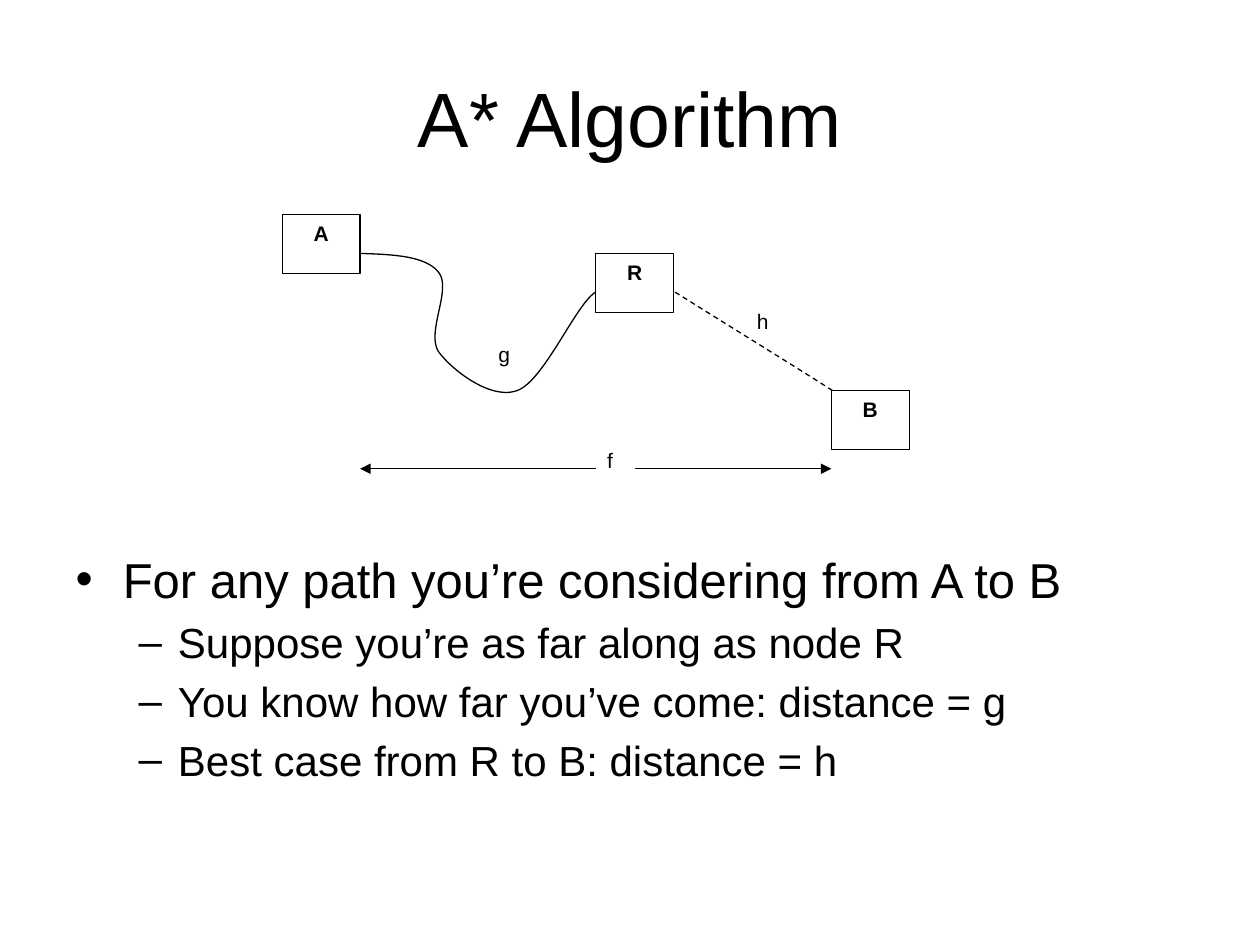
from lxml import etree
from pptx import Presentation
from pptx.dml.color import RGBColor
from pptx.enum import dml, shapes, text
from pptx.oxml.ns import qn
from pptx.util import Cm, Pt

BLACK = RGBColor(0, 0, 0)
WHITE = RGBColor(255, 255, 255)
FONT = "Arial"
NODE_W, NODE_H = 1.57, 1.19
CURVE_STEPS = 24

NODES = {"B": (16.76, 7.87), "A": (5.69, 4.32), "R": (12.01, 5.11)}
DISTANCES = {"g": (9.8, 6.76), "h": (15.01, 6.1), "f": (11.99, 8.89)}

# Each curve is a start point and its cubic segments: two controls and an end
TRAVELLED_START = (7.26, 5.11)
TRAVELLED = [
    ((7.92, 5.13), (8.59, 5.16), (8.84, 5.49)),
    ((9.12, 5.82), (8.59, 6.68), (8.84, 7.09)),
    ((9.12, 7.47), (9.91, 8.08), (10.44, 7.87)),
    ((10.97, 7.67), (11.63, 6.1), (12.01, 5.89)),
]
REMAINING_START = (13.61, 5.89)
REMAINING = [((15.19, 6.88), (16.81, 7.87), (17.48, 8.33))]

BULLETS = [
    (0, "For any path you’re considering from A to B"),
    (1, "Suppose you’re as far along as node R"),
    (1, "You know how far you’ve come: distance = g"),
    (1, "Best case from R to B: distance = h"),
]


def style_paragraph(paragraph, size, bold=False):
    for run in paragraph.runs:
        run.font.name = FONT
        run.font.size = Pt(size)
        run.font.bold = bold
        run.font.color.rgb = BLACK


def style_line(line):
    line.color.rgb = BLACK
    line.width = Pt(0.75)


def place(shape, left, top, width, height):
    shape.left, shape.top = Cm(left), Cm(top)
    shape.width, shape.height = Cm(width), Cm(height)


def fill_title(title):
    place(title, 1.27, 0.76, 22.86, 3.18)
    title.text_frame.text = "A* Algorithm"
    style_paragraph(title.text_frame.paragraphs[0], 44)


def fill_bullets(body):
    place(body, 1.27, 10.95, 22.86, 6.07)
    frame = body.text_frame
    for index, (level, wording) in enumerate(BULLETS):
        paragraph = frame.add_paragraph() if index else frame.paragraphs[0]
        paragraph.text = wording
        paragraph.level = level
        style_paragraph(paragraph, 24 if level else 28)


def bezier_point(corners, t):
    weights = ((1 - t) ** 3, 3 * t * (1 - t) ** 2, 3 * t**2 * (1 - t), t**3)
    return tuple(
        Cm(sum(w * corner[axis] for w, corner in zip(weights, corners)))
        for axis in (0, 1)
    )


def add_curve(diagram, start, segments, dashed=False):
    builder = diagram.build_freeform(Cm(start[0]), Cm(start[1]))
    for segment in segments:
        corners = (start, *segment)
        points = [
            bezier_point(corners, step / CURVE_STEPS)
            for step in range(1, CURVE_STEPS + 1)
        ]
        builder.add_line_segments(points, close=False)
        start = segment[-1]
    curve = builder.convert_to_shape()
    curve.shadow.inherit = False
    curve.fill.background()
    style_line(curve.line)
    if dashed:
        curve.line.dash_style = dml.MSO_LINE.DASH


def add_node(diagram, name, left, top):
    node = diagram.add_shape(
        shapes.MSO_SHAPE.RECTANGLE, Cm(left), Cm(top), Cm(NODE_W), Cm(NODE_H)
    )
    node.shadow.inherit = False
    node.fill.solid()
    node.fill.fore_color.rgb = WHITE
    style_line(node.line)
    node.text_frame.text = name
    node.text_frame.vertical_anchor = text.MSO_ANCHOR.TOP
    label = node.text_frame.paragraphs[0]
    label.alignment = text.PP_ALIGN.CENTER
    style_paragraph(label, 12, bold=True)


def add_distance(diagram, name, left, top):
    distance = diagram.add_textbox(Cm(left), Cm(top), Cm(2.39), Cm(NODE_H))
    distance.text_frame.word_wrap = True
    distance.text_frame.text = name
    style_paragraph(distance.text_frame.paragraphs[0], 12)


def add_arrow(diagram, start_x, end_x, y):
    arrow = diagram.add_connector(
        shapes.MSO_CONNECTOR.STRAIGHT, Cm(start_x), Cm(y), Cm(end_x), Cm(y)
    )
    style_line(arrow.line)
    properties = arrow.line._get_or_add_ln()
    etree.SubElement(properties, qn("a:tailEnd"), type="triangle")
    etree.SubElement(properties.getparent(), qn("a:effectLst"))


def main():
    prs = Presentation()
    prs.slide_width, prs.slide_height = Cm(25.4), Cm(19.05)
    slide = prs.slides.add_slide(prs.slide_layouts[1])

    # Title and explanation
    fill_title(slide.shapes.title)
    fill_bullets(slide.placeholders[1])

    # Path diagram
    diagram = slide.shapes.add_group_shape().shapes
    add_curve(diagram, TRAVELLED_START, TRAVELLED)
    add_curve(diagram, REMAINING_START, REMAINING, dashed=True)
    for name, (left, top) in NODES.items():
        add_node(diagram, name, left, top)
    for name, (left, top) in DISTANCES.items():
        add_distance(diagram, name, left, top)

    # Total distance f, from A to B
    add_arrow(diagram, 12.01, 7.26, 9.45)
    add_arrow(diagram, 12.8, 16.76, 9.45)

    prs.save("out.pptx")


if __name__ == "__main__":
    main()
